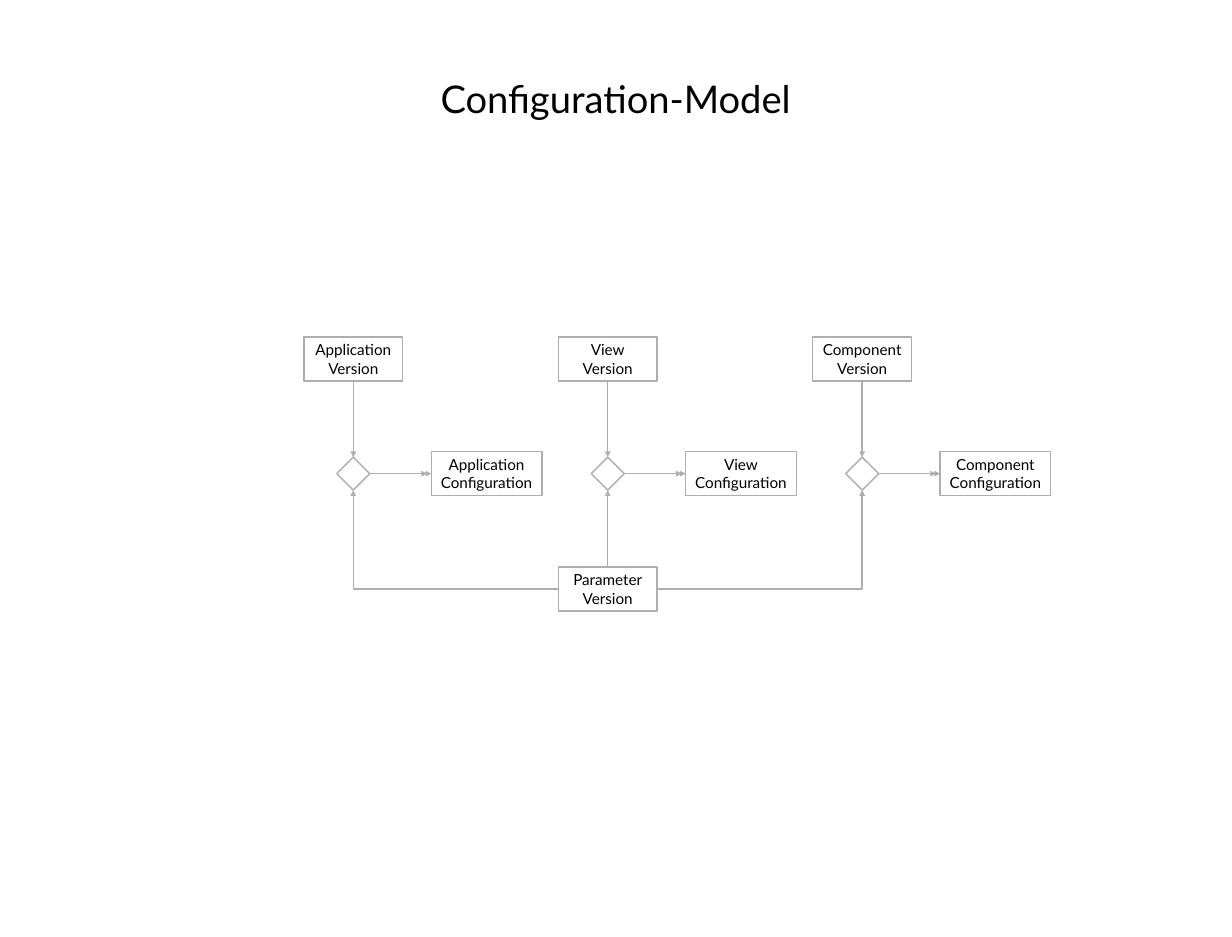
from pptx import Presentation
from pptx.dml.color import RGBColor
from pptx.enum.shapes import MSO_CONNECTOR as CONN, MSO_SHAPE as SHAPE
from pptx.enum.text import MSO_ANCHOR as ANCHOR, PP_ALIGN as ALIGN
from pptx.oxml.ns import qn
from pptx.util import Inches, Pt
from lxml.etree import SubElement

TOP, LEFT, BOTTOM, RIGHT = range(4)  # connection sites of a box or diamond


def color(hex_text):
    """Turn a hex string into a colour."""
    return RGBColor.from_string(hex_text)


def write(tf, text, size=16, font="Lato", fill="000000", spacing=None,
          anchor=ANCHOR.MIDDLE, inset=0):
    """Fill a text frame with centred text, one paragraph a line."""
    tf.word_wrap = True
    tf.vertical_anchor = anchor
    tf.margin_left = tf.margin_right = Inches(inset)
    tf.margin_top = tf.margin_bottom = Inches(inset)
    for i, line in enumerate(text.split("\n")):
        p = tf.add_paragraph() if i else tf.paragraphs[0]
        p.alignment = ALIGN.CENTER
        p.line_spacing = spacing
        r = p.add_run()
        r.text = line
        r.font.name, r.font.size = font, Pt(size)
        r.font.color.rgb = color(fill)


class Diagram:
    """Draws diagram elements in one style on one slide."""

    def __init__(self, slide, line="AEAEAE", weight=1.5):
        """Keep the slide and the line style."""
        self.shapes = slide.shapes
        self.line, self.weight = line, weight

    def outline(self, sp):
        """Apply the line style."""
        sp.line.color.rgb = color(self.line)
        sp.line.width = Pt(self.weight)

    def node(self, kind, cx, cy, w, h, text=""):
        """Add an unfilled shape around a centre point."""
        sp = self.shapes.add_shape(kind, Inches(cx - w / 2), Inches(cy - h / 2),
                                   Inches(w), Inches(h))
        sp.shadow.inherit = False
        sp.fill.background()
        self.outline(sp)
        if text:
            write(sp.text_frame, text)
        return sp

    def box(self, cx, cy, text, w=1.44):
        """Add a labelled entity box."""
        return self.node(SHAPE.RECTANGLE, cx, cy, w, 0.64, text)

    def diamond(self, cx, cy):
        """Add a relationship diamond."""
        return self.node(SHAPE.DIAMOND, cx, cy, 0.48, 0.48)

    def arrow(self, start, start_site, end, end_site, bent=False, short=0):
        """Join two shapes; short ends a rightward arrow before its target."""
        cx = self.shapes.add_connector(CONN.ELBOW if bent else CONN.STRAIGHT, 0, 0, 0, 0)
        cx.begin_connect(start, start_site)
        if short:
            cx.end_x = end.left - Inches(short)
            cx.end_y = end.top + end.height // 2
        else:
            cx.end_connect(end, end_site)
        self.outline(cx)
        props = cx._element.spPr
        if bent:
            props.find(qn("a:prstGeom")).set("prst", "bentConnector2")
        SubElement(props.find(qn("a:ln")), qn("a:tailEnd"), type="triangle")
        SubElement(props, qn("a:effectLst"))

    def title(self, text, x, y, w, h):
        """Add the slide title."""
        sp = self.shapes.add_textbox(Inches(x), Inches(y), Inches(w), Inches(h))
        write(sp.text_frame, text, size=40, spacing=0.9, anchor=ANCHOR.TOP, inset=0.05)


prs = Presentation()
prs.slide_width, prs.slide_height = Inches(17.94), Inches(13.65)
s = prs.slides.add_slide(prs.slide_layouts[6])
d = Diagram(s)
d.title("Configuration-Model", 1.23, 1.12, 15.47, 0.72)

CENTER_X, COLUMN_STEP, CONFIG_SHIFT = 8.85, 3.705, 1.94
VERSION_Y, RELATION_Y, PARAMETER_Y = 5.23, 6.9, 8.58

parameter = d.box(CENTER_X, PARAMETER_Y, "Parameter\nVersion")
columns = [("Application", LEFT), ("View", TOP), ("Component", RIGHT)]
for i, (name, parameter_site) in enumerate(columns):
    x = CENTER_X + (i - 1) * COLUMN_STEP
    version = d.box(x, VERSION_Y, f"{name}\nVersion")
    relation = d.diamond(x, RELATION_Y)
    config = d.box(x + CONFIG_SHIFT, RELATION_Y, f"{name}\nConfiguration", w=1.61)
    d.arrow(version, BOTTOM, relation, TOP)
    d.arrow(parameter, parameter_site, relation, BOTTOM, bent=parameter_site != TOP)
    for short in (0, 0.06):  # double arrowhead
        d.arrow(relation, RIGHT, config, LEFT, short=short)

prs.save("out.pptx")
